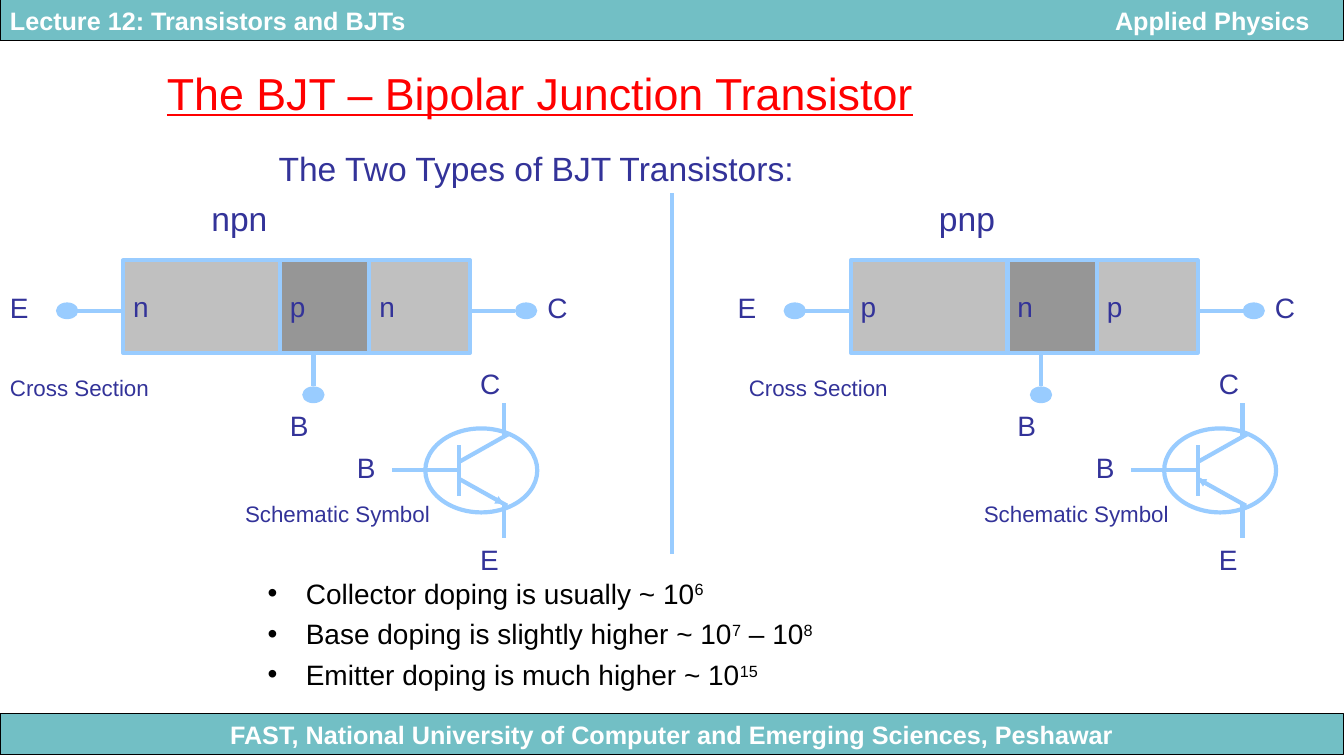
"""Build the slide on the two types of bipolar junction transistor."""
from pptx import Presentation
from pptx.dml.color import RGBColor as Rgb
from pptx.enum.shapes import MSO_CONNECTOR as Link, MSO_SHAPE as Kind
from pptx.enum.text import MSO_ANCHOR as Anchor, MSO_AUTO_SIZE as Fit, PP_ALIGN as Align
from pptx.oxml.ns import qn
from pptx.util import Inches, Pt
from lxml.etree import SubElement as Sub

HUES = {"band": "72BFC5", "edge": "000000", "head": "FF0000", "ink": "333399",
        "wire": "99CCFF", "pale": "C0C0C0", "dark": "969696",
        "white": "FFFFFF", "black": "000000"}
HUE = {name: Rgb.from_string(code) for name, code in HUES.items()}
COL, ROW = Inches(1) / 9, Inches(1) / 12

deck = Presentation()
deck.slide_width, deck.slide_height = Inches(13.34), Inches(7.5)
page = deck.slides.add_slide(deck.slide_layouts[1])
shapes = page.shapes


def put(kind, box, text="", tint="ink", fill=None, edge=None, thick=3, **font):
    """Add a shape, or a text box if kind is None, on the grid."""
    x, y, w, h = box
    area = [int(v) for v in (x * COL, y * ROW, w * COL, h * ROW)]
    item = shapes.add_shape(kind, *area) if kind else shapes.add_textbox(*area)
    if kind:
        item.shadow.inherit = False
        for part, hue in ((item.fill, fill), (item.line.fill, edge)):
            if hue:
                part.solid()
                part.fore_color.rgb = HUE[hue]
            else:
                part.background()
        if edge:
            item.line.width = Pt(thick)
    if text:
        frame = item.text_frame
        frame.word_wrap = True
        frame.vertical_anchor = Anchor.MIDDLE if kind else Anchor.TOP
        para = frame.paragraphs[0]
        para.alignment = Align.LEFT
        run = para.add_run()
        run.text = text
        run.font.color.rgb = HUE[tint]
        for key, val in {"name": "Arial", "size": Pt(20), **font}.items():
            setattr(run.font, key, val)
    return item


def wire(x1, y1, x2, y2, thick=3, tip=False):
    """Add a straight line on the grid, with an arrowhead if tip is set."""
    ends = [int(v) for v in (x1 * COL, y1 * ROW, x2 * COL, y2 * ROW)]
    item = shapes.add_connector(Link.STRAIGHT, *ends)
    item.line.color.rgb = HUE["wire"]
    item.line.width = Pt(thick)
    if tip:
        Sub(item.line._get_or_add_ln(), qn("a:tailEnd"), type="triangle")
    Sub(item._element.spPr, qn("a:effectLst"))


band = dict(tint="white", fill="band", edge="edge", thick=0.75, size=Pt(18), bold=True)
foot = put(Kind.RECTANGLE, (0, 85, 120, 4.8),
           "FAST, National University of Computer and Emerging Sciences, Peshawar", **band)
foot.text_frame.paragraphs[0].alignment = Align.CENTER
top = put(Kind.RECTANGLE, (0, 0, 120, 4.8),
          "Lecture 12: Transistors and BJTs\tApplied Physics", **band)
tabs = Sub(top.text_frame.paragraphs[0]._p.get_or_add_pPr(), qn("a:tabLst"))
Sub(tabs, qn("a:tab"), pos=str(Inches(12.9)), algn="r")

title, body = shapes.title, page.placeholders[1]
for item, box in ((title, (14, 7.2, 100, 7.7)), (body, (23, 68, 75, 14.9))):
    for key, val, unit in zip(("left", "top", "width", "height"), box, (COL, ROW, COL, ROW)):
        setattr(item, key, int(val * unit))
    for key, val in {"vertical_anchor": Anchor.TOP, "auto_size": Fit.NONE,
                     "word_wrap": True}.items():
        setattr(item.text_frame, key, val)

title.text_frame.text = "The BJT – Bipolar Junction Transistor"
head = title.text_frame.paragraphs[0]
head.alignment = Align.LEFT
head.font.color.rgb = HUE["head"]
for key, val in {"name": "Arial", "size": Pt(32), "underline": True}.items():
    setattr(head.font, key, val)

put(None, (24, 17, 73, 6), "The Two Types of BJT Transistors:", size=Pt(24))
wire(60, 23, 60, 66)

for name, dx, sx, arrow in (("npn", 0, 0, (41, 57, 45, 60)),
                            ("pnp", 65, 66, (45, 60, 41, 57))):
    put(None, (dx + 18, 23, 17, 6), name, size=Pt(24))
    for zone, x, w, fill in zip(name, (11, 25, 33), (14, 9, 9), ("pale", "dark", "pale")):
        put(Kind.RECTANGLE, (dx + x, 31, w, 11), zone, fill=fill, edge="wire")
    for x1, y1, x2, y2 in ((11, 37, 6, 37), (28, 42, 28, 46), (42, 37, 46, 37)):
        wire(dx + x1, y1, dx + x2, y2)
    for x, y in ((46, 36), (27, 46), (5, 36)):
        put(Kind.OVAL, (dx + x, y, 2, 2), fill="wire")
    for pin, x, y in (("E", dx, 34), ("B", dx + 25, 48), ("C", dx + 48, 34),
                      ("B", sx + 31, 53), ("C", sx + 42, 43), ("E", sx + 42, 64)):
        put(None, (x, y, 5, 5.3), pin)
    for note, x, y in (("Cross Section", 0, 44), ("Schematic Symbol", 21, 59)):
        put(None, (sx + x, y, 21, 4.4), note, size=Pt(16))

    put(Kind.OVAL, (sx + 38, 51, 10, 10), edge="wire")
    for x1, y1, x2, y2 in ((41, 53, 41, 59), (41, 55, 45.4, 51.7), (41, 57, 45.3, 60.2),
                           (41, 56, 35, 56), (45, 52, 45, 48), (45, 64, 45, 60)):
        wire(sx + x1, y1, sx + x2, y2)
    x1, y1, x2, y2 = arrow
    wire(sx + x1, y1, sx + x2, y2, 2, True)

facts = ((("Collector doping is usually ~ 10", "6"),),
         (("Base doping is slightly higher ~ 10", "7"), (" – 10", "8")),
         (("Emitter doping is much higher ~ 10", "15"),))
for i, fact in enumerate(facts):
    para = body.text_frame.paragraphs[0] if i == 0 else body.text_frame.add_paragraph()
    para.space_before = Pt(5)
    inset = Inches(0.38)
    for key, val in {"marL": inset, "indent": -inset}.items():
        para._p.get_or_add_pPr().set(key, str(val))
    for base, power in fact:
        for text, lift in ((base, "0"), (power, "30000")):
            run = para.add_run()
            run.text = text
            run.font.color.rgb = HUE["black"]
            for key, val in {"name": "Arial", "size": Pt(20)}.items():
                setattr(run.font, key, val)
            run._r.get_or_add_rPr().set("baseline", lift)

deck.save("out.pptx")
